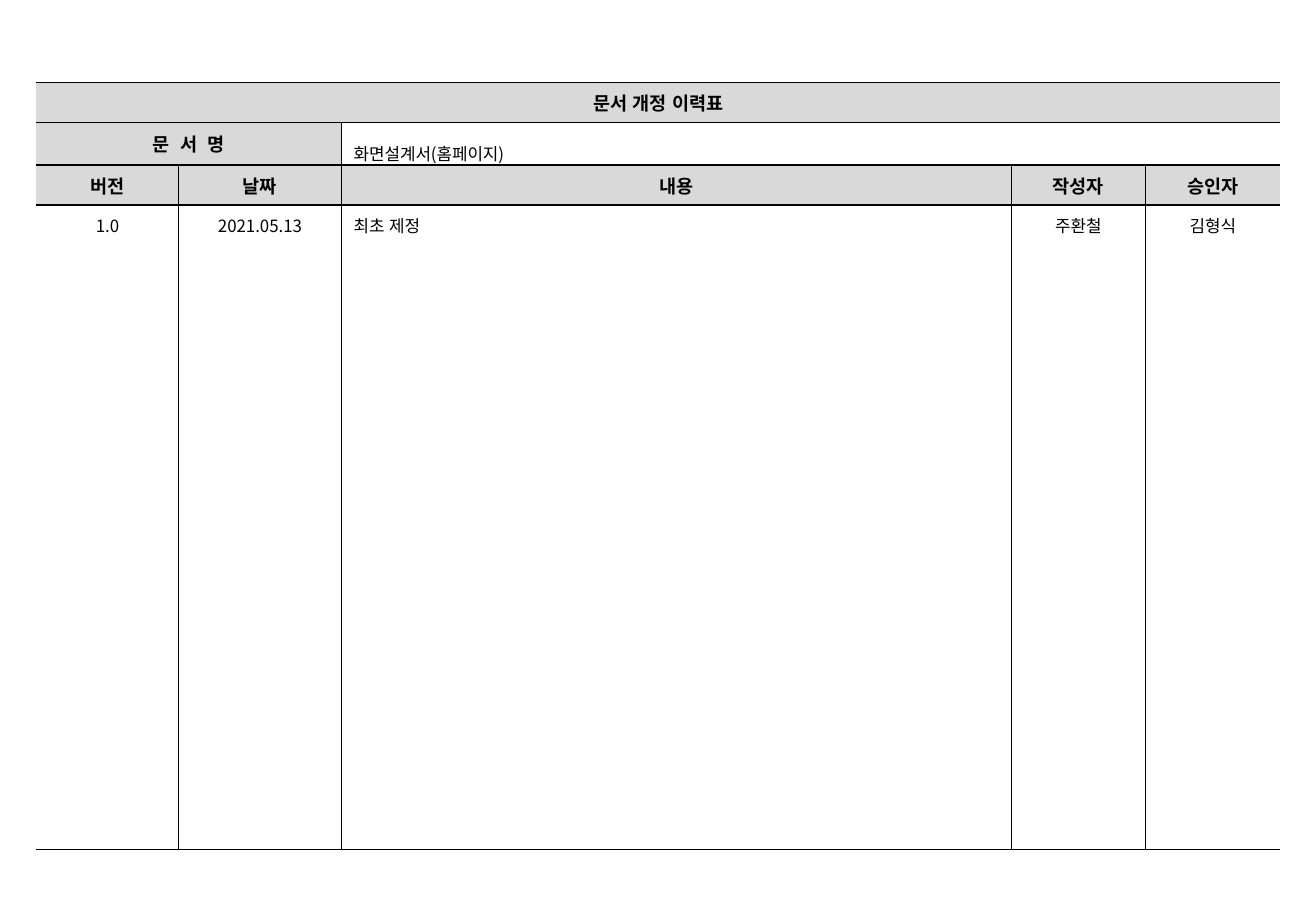
from dataclasses import dataclass
from itertools import product

from lxml.etree import SubElement
from pptx import Presentation
from pptx.dml.color import RGBColor
from pptx.enum.lang import MSO_LANGUAGE_ID as Language
from pptx.enum.text import MSO_ANCHOR as Anchor, PP_ALIGN as Align
from pptx.oxml.ns import qn
from pptx.table import Table, _Cell as Cell
from pptx.util import Emu, Pt

SCALE = 914400 / 121.5
FONT = "Noto Sans CJK KR"
BLACK, HEADER_FILL = "000000", "D9D9D9"
NO_STYLE = "{2D5ABB26-0587-4C30-8999-92F81FD0307C}"
LEFT, TOP = 36, 82
HALF_PIXEL = 0.5  # centres the thin rules on whole pixels
COLUMN_WIDTHS = [142, 163, 670, 134, 135]
TOP_ROWS = [40, 42, 40, 41]
EMPTY_ROWS, EMPTY_HEIGHT = 16, 604
COMMON = {"name": FONT, "language_id": Language.KOREAN}
HEADER = {"size": Pt(11), "bold": True, **COMMON}
BODY = {"size": Pt(10), "bold": False, **COMMON}


@dataclass
class Entry:
    """Text of one table cell and how it is set."""
    row: int
    column: int
    text: str
    header: bool = False
    align: Align = Align.CENTER
    span: int = 1
    line_spacing: float = 1.0
    drop: int = 0


def px(length: float) -> Emu:
    """Turn pixels into EMU."""
    return Emu(round(length * SCALE))


def color(value: str) -> RGBColor:
    """Turn a hex string into a colour."""
    return RGBColor.from_string(value)


def add_borders(cell: Cell, sides: str) -> None:
    """Draw thin lines on the named sides (L, R, T, B) and none on the others."""
    properties = cell._tc.get_or_add_tcPr()
    for side in "LRTB":
        line = SubElement(properties, qn(f"a:ln{side}"), w=str(Pt(0.75)))
        if side in sides:
            fill = SubElement(line, qn("a:solidFill"))
            SubElement(fill, qn("a:srgbClr"), val=BLACK)
        else:
            SubElement(line, qn("a:noFill"))


def border_sides(row: int, column: int, last_row: int) -> str:
    """Name the ruled sides of the cell at this place in the grid."""
    sides = "TB" if row < 3 else "T" if row == 3 else "B" if row == last_row else ""
    if row == 1:
        return sides + {1: "R", 2: "L"}.get(column, "")
    if row > 1:
        sides += "L" * (column > 0) + "R" * (column < len(COLUMN_WIDTHS) - 1)
    return sides


def fill_entry(table: Table, entry: Entry) -> None:
    """Write an entry into its cell, merging across its span."""
    cell = table.cell(entry.row, entry.column)
    if entry.span > 1:
        end = table.cell(entry.row, entry.column + entry.span - 1)
        cell.merge(end)
    if entry.header:
        cell.fill.solid()
        cell.fill.fore_color.rgb = color(HEADER_FILL)
    cell.margin_top, cell.margin_bottom = px(3 + entry.drop), px(3 - entry.drop)
    para = cell.text_frame.paragraphs[0]
    para.alignment = entry.align
    para.line_spacing = entry.line_spacing
    span = para.add_run()
    span.text = entry.text
    for name, value in (HEADER if entry.header else BODY).items():
        setattr(span.font, name, value)
    span.font.color.rgb = color(BLACK)
    SubElement(span.font._element, qn("a:ea"), typeface=FONT)


def prepare_cell(cell: Cell, sides: str) -> None:
    """Rule a cell, clear its fill and keep its empty line small."""
    add_borders(cell, sides)
    cell.fill.background()
    cell.vertical_anchor = Anchor.MIDDLE
    cell.margin_top = cell.margin_bottom = px(3)
    SubElement(cell.text_frame.paragraphs[0]._p, qn("a:endParaRPr"), sz="1000")


ENTRIES = [
    Entry(0, 0, "문서 개정 이력표", header=True, span=5),
    Entry(1, 0, "문  서  명", header=True, span=2),
    Entry(1, 2, "화면설계서(홈페이지)", align=Align.LEFT, span=3, line_spacing=1.5, drop=3),
    *(Entry(2, column, text, header=True)
      for column, text in enumerate(["버전", "날짜", "내용", "작성자", "승인자"])),
    *(Entry(3, column, text, align=Align.LEFT if column == 2 else Align.CENTER)
      for column, text in enumerate(["1.0", "2021.05.13", "최초 제정", "주환철", "김형식"])),
]

deck = Presentation()
deck.slide_width, deck.slide_height = px(1316), px(911)
page = deck.slides.add_slide(deck.slide_layouts[6])

row_heights = TOP_ROWS + [EMPTY_HEIGHT / EMPTY_ROWS] * EMPTY_ROWS
history = page.shapes.add_table(
    len(row_heights), len(COLUMN_WIDTHS), px(LEFT + HALF_PIXEL), px(TOP + HALF_PIXEL),
    px(sum(COLUMN_WIDTHS)), px(sum(row_heights))).table
history.first_row = history.horz_banding = False
history._tbl.tblPr.find(qn("a:tableStyleId")).text = NO_STYLE
for column, width in zip(history.columns, COLUMN_WIDTHS):
    column.width = px(width)
for row, height in zip(history.rows, row_heights):
    row.height = px(height)

last_row = len(row_heights) - 1
for row, column in product(range(len(row_heights)), range(len(COLUMN_WIDTHS))):
    prepare_cell(history.cell(row, column), border_sides(row, column, last_row))
for entry in ENTRIES:
    fill_entry(history, entry)

deck.save("out.pptx")
